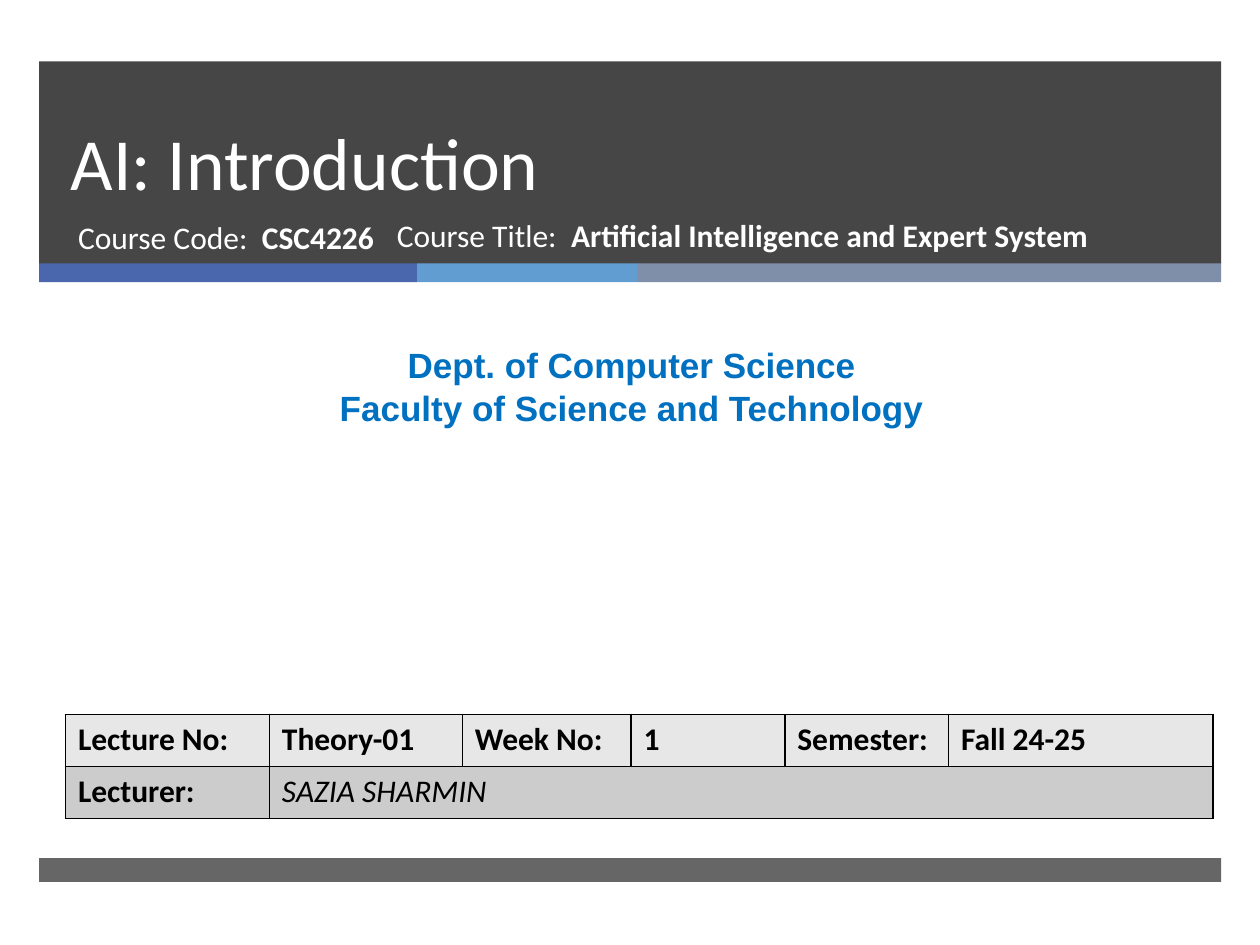
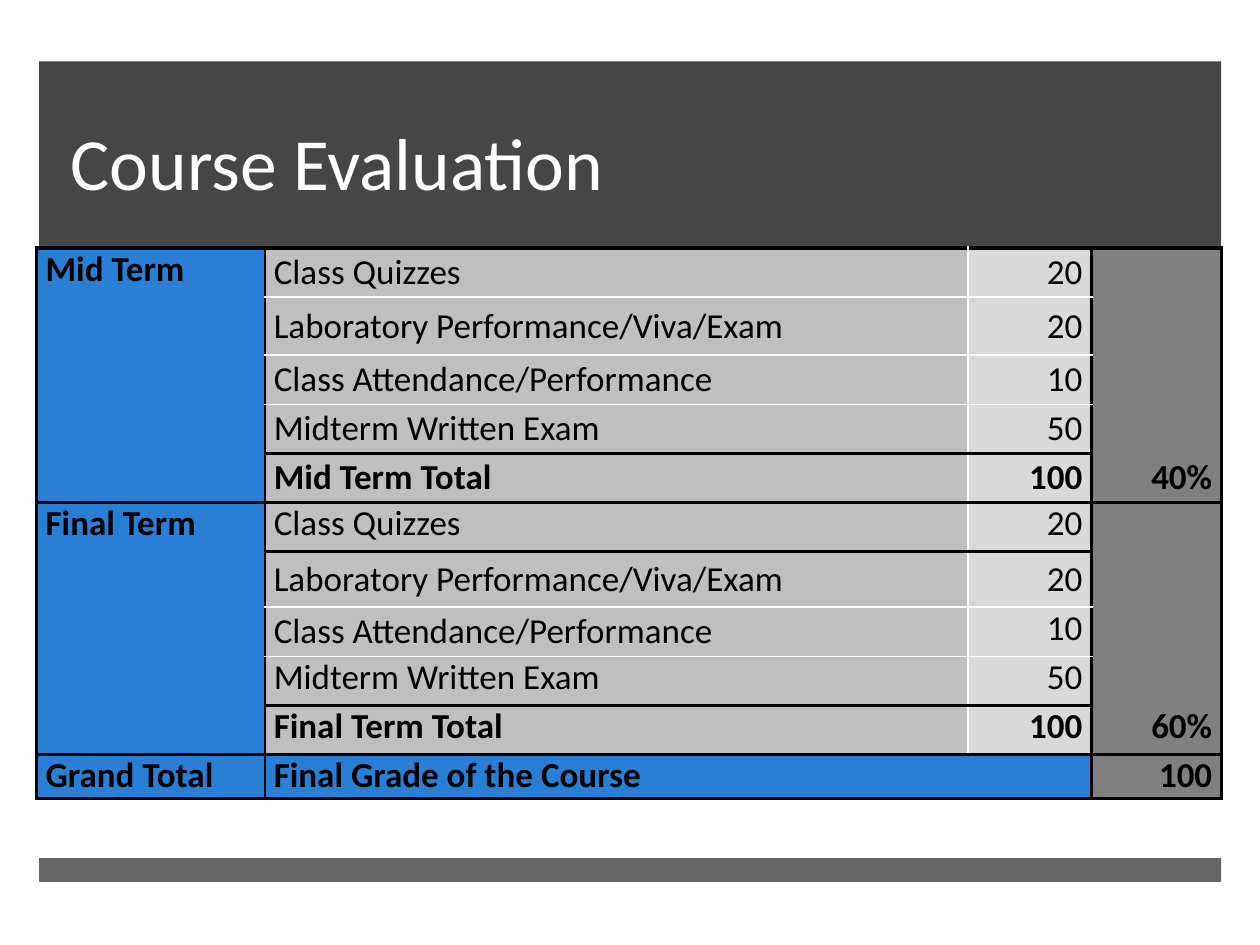
"""Build the opening and course evaluation slides of an AI lecture."""
from lxml import etree
from pptx import Presentation
from pptx.dml.color import RGBColor
from pptx.enum.shapes import MSO_SHAPE
from pptx.enum.text import MSO_ANCHOR, MSO_AUTO_SIZE, PP_ALIGN
from pptx.oxml.ns import qn
from pptx.util import Cm, Pt

RECT = MSO_SHAPE.RECTANGLE
TOP, MIDDLE, BOTTOM = MSO_ANCHOR.TOP, MSO_ANCHOR.MIDDLE, MSO_ANCHOR.BOTTOM
LEFT, CENTER, RIGHT = PP_ALIGN.LEFT, PP_ALIGN.CENTER, PP_ALIGN.RIGHT
NO_FIT = MSO_AUTO_SIZE.NONE

COLORS = {
    "white": "FFFFFF", "black": "000000", "dark": "262626",
    "indigo": "4A66AC", "sky": "629DD1", "slate": "7F8FA9",
    "dept": "0070C0", "term": "297FD5", "item": "BFBFBF",
    "mark": "D9D9D9", "share": "808080", "row1": "E7E7E7", "row2": "CCCCCC",
}
THIN, THICK, PALE = ("black", 1), ("black", 2.25), ("white", 1)
BAND_LEFT, BAND_WIDTH = 0.79, 23.83


class Deck:
    """Hold the shared style and the current slide."""

    def __init__(self):
        """Open a 4:3 presentation and use its title layout."""
        self.prs = Presentation()
        self.prs.slide_width, self.prs.slide_height = Cm(25.4), Cm(19.05)
        self.layout = self.prs.slide_layouts[0]
        self.s = None

    def color(self, name):
        """Return a named colour."""
        return RGBColor.from_string(COLORS[name])

    def slide(self, title):
        """Add a slide with its title in the dark band."""
        self.s = self.prs.slides.add_slide(self.layout)
        tf = self.place(self.s.shapes.title, 1.17, 1.24, 21.69, 3.02, BOTTOM)
        p = self.paragraph(tf, [(title, "")], 42, "white")
        p.line_spacing = Pt(46)

    def place(self, sp, x, y, w, h, anchor=TOP):
        """Position a text shape and return its frame."""
        sp.left, sp.top, sp.width, sp.height = Cm(x), Cm(y), Cm(w), Cm(h)
        tf = sp.text_frame
        tf.auto_size, tf.word_wrap, tf.vertical_anchor = NO_FIT, True, anchor
        return tf

    def paragraph(self, tf, runs, size, color, align=LEFT, font="Calibri", new=False):
        """Set (text, style) runs in a paragraph; style holds b or i."""
        p = tf.add_paragraph() if new else tf.paragraphs[0]
        p.alignment, p.space_before = align, Pt(0)
        for text, style in runs:
            r = p.add_run()
            r.text = text
            r.font.name, r.font.size = font, Pt(size)
            r.font.bold, r.font.italic = "b" in style, "i" in style
            r.font.color.rgb = self.color(color)
        return p

    def textbox(self, x, y, w, h):
        """Add an empty text box and return its frame."""
        return self.place(self.s.shapes.add_textbox(0, 0, 0, 0), x, y, w, h)

    def band(self, x, y, w, h, color, alpha=100):
        """Add a borderless rectangle with optional transparency."""
        sp = self.s.shapes.add_shape(RECT, Cm(x), Cm(y), Cm(w), Cm(h))
        sp.shadow.inherit = False
        sp.line.fill.background()
        sp.fill.solid()
        sp.fill.fore_color.rgb = self.color(color)
        if alpha < 100:
            clr = sp.element.find(".//" + qn("a:srgbClr"))
            etree.SubElement(clr, qn("a:alpha")).set("val", str(alpha * 1000))
        return sp

    def layout_bands(self):
        """Put the shared bands behind everything on the layout."""
        bands = [self.band(BAND_LEFT, 1.24, BAND_WIDTH, 4.09, "dark", 85)]
        x = BAND_LEFT
        for width, color in ((7.62, "indigo"), (4.45, "sky"), (11.76, "slate")):
            bands.append(self.band(x, 5.31, width, 0.38, color))
            x += width
        bands.append(self.band(BAND_LEFT, 17.3, BAND_WIDTH, 0.48, "dark", 70))
        for i, sp in enumerate(bands):
            sp.element.find(".//" + qn("p:cNvPr")).set("id", str(100 + i))
            self.layout.shapes.element.insert(2 + i, sp.element)

    def table(self, x, y, cols, rows):
        """Add a plain table with the given column and row sizes."""
        frame = self.s.shapes.add_table(
            len(rows), len(cols), Cm(x), Cm(y), Cm(sum(cols)), Cm(sum(rows)))
        tbl = frame.table
        tbl.first_row = tbl.horz_banding = False
        for col, width in zip(tbl.columns, cols):
            col.width = Cm(width)
        for row, height in zip(tbl.rows, rows):
            row.height = Cm(height)
        return tbl

    def cell(self, cell, text, fill, edges, size=18, style="", align=LEFT,
             anchor=TOP, inset=None):
        """Fill a cell; edges run left, right, top, bottom."""
        tc_pr = cell._tc.get_or_add_tcPr()
        for side, edge in zip("LRTB", edges):
            ln = etree.SubElement(tc_pr, qn("a:ln" + side))
            if edge:
                color, width = edge
                ln.set("w", str(Pt(width)))
                solid = etree.SubElement(ln, qn("a:solidFill"))
                etree.SubElement(solid, qn("a:srgbClr")).set("val", COLORS[color])
            else:
                etree.SubElement(ln, qn("a:noFill"))
        cell.fill.solid()
        cell.fill.fore_color.rgb = self.color(fill)
        cell.vertical_anchor = anchor
        if inset is not None:
            cell.margin_left = cell.margin_right = Cm(inset)
            cell.margin_top = cell.margin_bottom = Cm(0)
        if text:
            self.paragraph(cell.text_frame, [(text, style)], size, "black", align)


def intro_slide(deck):
    """Build the opening slide."""
    deck.slide("AI: Introduction")
    deck.layout_bands()
    tf = deck.place(deck.s.placeholders[1], 1.32, 4.27, 7.75, 1.35)
    deck.paragraph(tf, [("Course Code:  ", ""), ("CSC4226", "b")], 18, "white")
    tf = deck.textbox(0.2, 6.81, 25.07, 1.96)
    for i, line in enumerate(("Dept. of Computer Science",
                              "Faculty of Science and Technology")):
        deck.paragraph(tf, [(line, "b")], 20, "dept", CENTER, "Arial", i > 0)
    tbl = deck.table(1.32, 14.4, (4.11, 3.89, 3.4, 3.1, 3.3, 5.33), (1.05, 1.05))
    tbl.cell(1, 1).merge(tbl.cell(1, 5))
    rows = (("Lecture No:", "Theory-01", "Week No:", "1", "Semester:", "Fall 24-25"),
            ("Lecturer:", "SAZIA SHARMIN", "", "", "", ""))
    for r, texts in enumerate(rows):
        for c, text in enumerate(texts):
            style = "i" if (r, c) == (1, 1) else "b"
            deck.cell(tbl.cell(r, c), text, f"row{r + 1}", [THIN] * 4, style=style)
    tf = deck.textbox(7.75, 4.24, 14.53, 1.35)
    deck.paragraph(tf, [("Course Title:  ", ""),
                        ("Artificial Intelligence and Expert System", "b")], 18, "white")


def evaluation_slide(deck):
    """Build the marks distribution table."""
    deck.slide("Course Evaluation")
    sp = deck.s.placeholders[1].element
    sp.getparent().remove(sp)
    marks = (("Class Quizzes", "20"), ("Laboratory Performance/Viva/Exam", "20"),
             ("Class Attendance/Performance", "10"), ("Midterm Written Exam", "50"))
    rows = []
    for term, share in (("Mid Term", "40%"), ("Final Term", "60%")):
        for i, (item, mark) in enumerate(marks):
            rows.append((term if i == 0 else "", item, mark, ""))
        rows.append(("", f"{term} Total", "100", share))
    rows.append(("Grand Total", "Final Grade of the Course", "", "100"))
    last = len(rows) - 1
    heights = [0.99] * len(rows)
    heights[1], heights[6], heights[last] = 1.17, 1.12, 0.89
    tbl = deck.table(0.74, 5, (4.6, 14.17, 2.49, 2.62), heights)
    tbl.cell(last, 1).merge(tbl.cell(last, 2))
    fills = ("term", "item", "mark", "share")
    verticals = (THICK, THIN, PALE, THICK, THICK)
    term_lines = (0, 5, 10, 11)
    item_lines = term_lines + (4, 6, 9)
    middle = {(r, c) for r in (0, 1, 2, 3, 4, 6) for c in (1, 2, 3)} | {(7, 1)}

    def horizontal(line, c):
        """Return the rule drawn on a row line in a column."""
        if c in (1, 2):
            return THICK if line in item_lines else PALE
        return THICK if line in term_lines else None

    for r, texts in enumerate(rows):
        for c, text in enumerate(texts):
            edges = [verticals[c], verticals[c + 1],
                     horizontal(r, c), horizontal(r + 1, c)]
            fill = fills[c]
            if r == last and c in (1, 2):
                fill, edges[1] = "term", THICK
            bold = c in (0, 3) or r in (4, 9, last)
            deck.cell(tbl.cell(r, c), text, fill, edges, 20, "b" if bold else "",
                      RIGHT if c > 1 else LEFT,
                      MIDDLE if (r, c) in middle else TOP, 0.18)


def main():
    """Build and save the slides."""
    deck = Deck()
    intro_slide(deck)
    evaluation_slide(deck)
    deck.prs.save("out.pptx")


if __name__ == "__main__":
    main()
